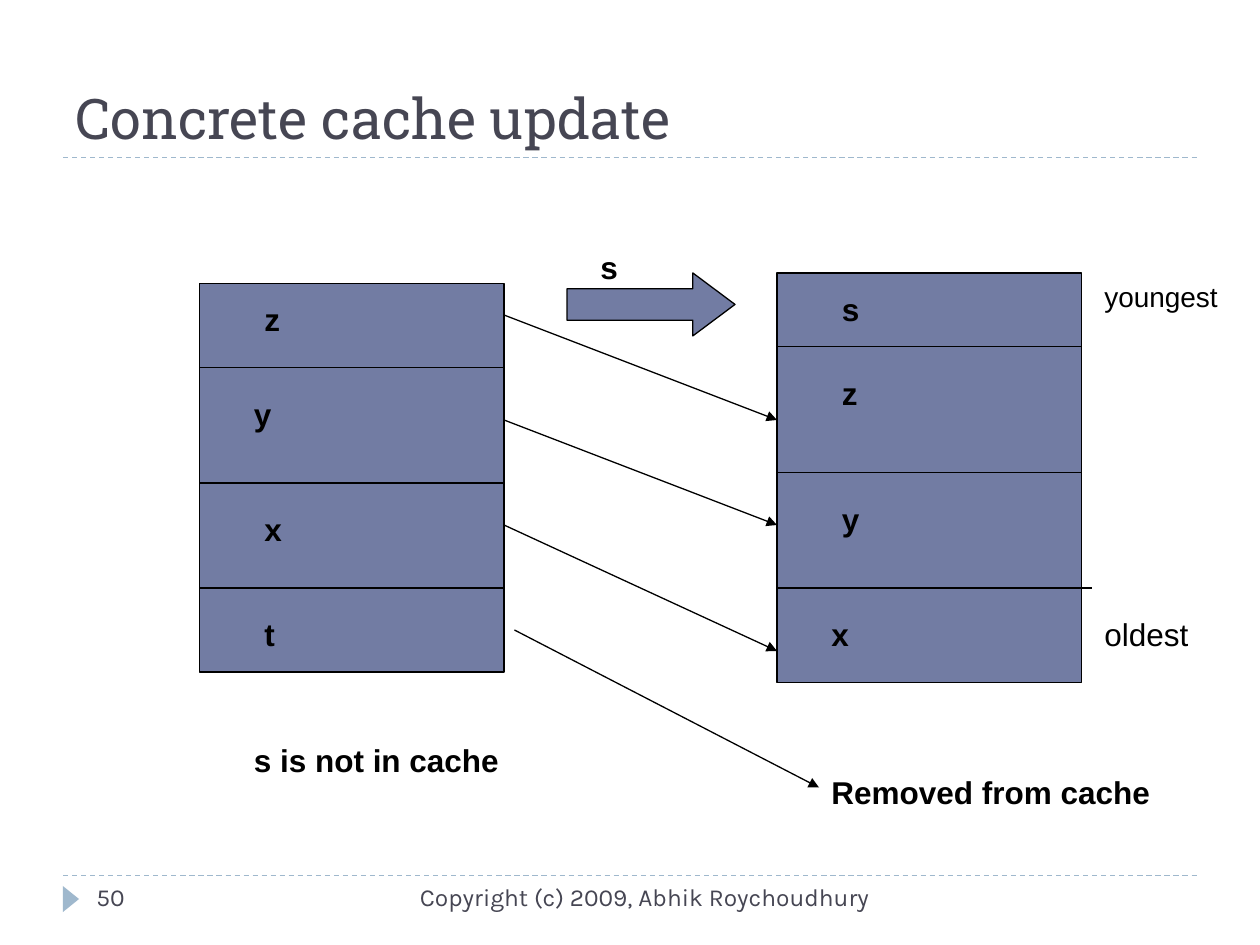
from pptx import Presentation
from pptx.dml.color import RGBColor
from pptx.enum.dml import MSO_LINE
from pptx.enum.shapes import MSO_CONNECTOR, MSO_SHAPE as Shape
from pptx.enum.text import MSO_ANCHOR as Anchor, MSO_AUTO_SIZE as Fit, PP_ALIGN as Align
from pptx.oxml.ns import qn
from pptx.util import Cm, Pt
from lxml.etree import SubElement

INK, BLUE, PALE, GREY = "000000", "727CA3", "9FB8CD", "464653"
TITLE = "Concrete cache update"
STACKS = [
    {"box": (19, 27, 29, 37), "cuts": [(35, 48), (46, 48), (56, 48)],
     "cells": [("z", 24, 28), ("y", 23, 37), ("x", 24, 48), ("t", 24, 58)]},
    {"box": (74, 26, 29, 39), "cuts": [(33, 103), (45, 103), (56, 104)],
     "cells": [("s", 79, 27), ("z", 79, 35), ("y", 79, 47), ("x", 78, 58)]},
]
MOVES = [(48, 30, 74, 40), (48, 40, 74, 50), (48, 50, 74, 62), (49, 60, 78, 75)]
NOTES = [
    ("s", (56, 23, 9, 4.8), 18, True),
    ("s is not in cache", (23, 70, 56, 4.8), 18, True),
    ("youngest", (104, 26, 14, 4.4), 16, False),
    ("oldest", (104, 58, 12, 4.8), 18, False),
    ("Removed from cache", (78, 73, 38, 4.8), 18, True),
]
FOOT = [
    ("Copyright (c) 2009, Abhik Roychoudhury", (38, 83.4, 46, 4.8), Align.RIGHT),
    ("50", (8, 83.4, 26, 4.8), Align.LEFT),
]
RULES = [15, 83.4]


def grid(*vals):
    """Turn twelfths of an inch into lengths."""
    return [Cm(v * 2.54 / 12) for v in vals]


def tint(code):
    """Make a colour from a hex string."""
    return RGBColor.from_string(code)


def write(frame, words, size, face, code, bold=False, align=Align.LEFT):
    """Put one styled run in a text frame."""
    frame.word_wrap = True
    para = frame.paragraphs[0]
    para.alignment = align
    run = para.add_run()
    run.text = words
    font = run.font
    font.size, font.name, font.bold = Pt(size), face, bold
    font.color.rgb = tint(code)


def label(slide, words, box, *style):
    """Add a text box."""
    frame = slide.shapes.add_textbox(*grid(*box)).text_frame
    write(frame, words, *style)


def block(slide, kind, box, fill, line=None):
    """Add a filled shape with an optional outline."""
    shape = slide.shapes.add_shape(kind, *grid(*box))
    shape.shadow.inherit = False
    shape.fill.solid()
    shape.fill.fore_color.rgb = tint(fill)
    if line:
        shape.line.color.rgb = tint(line)
        shape.line.width = Pt(0.75)
    else:
        shape.line.fill.background()
    return shape


def link(slide, ends, code=INK, dash=False, head=False):
    """Add a straight line, dashed or with an arrowhead if asked."""
    wire = slide.shapes.add_connector(MSO_CONNECTOR.STRAIGHT, *grid(*ends))
    wire.line.color.rgb = tint(code)
    wire.line.width = Pt(0.75)
    if dash:
        wire.line.dash_style = MSO_LINE.DASH
    props = wire._element.spPr
    if head:
        SubElement(props.find(qn("a:ln")), qn("a:tailEnd"), type="triangle")
    SubElement(props, qn("a:effectLst"))


def main():
    """Build the slide."""
    deck = Presentation()
    deck.slide_width, deck.slide_height = grid(120, 90)
    slide = deck.slides.add_slide(deck.slide_layouts[5])

    for y in RULES:
        link(slide, (6, y, 114, y), PALE, dash=True)
    mark = block(slide, Shape.ISOSCELES_TRIANGLE, (5.5, 84.85, 2.5, 1.55), PALE)
    mark.rotation = 90

    title = slide.shapes.title
    title.left, title.top, title.width, title.height = grid(6, 2, 108, 13)
    frame = title.text_frame
    frame.auto_size = Fit.NONE
    frame.vertical_anchor = Anchor.BOTTOM
    write(frame, TITLE, 32, "Roboto Slab", GREY)
    for words, box, align in FOOT:
        label(slide, words, box, 14, "Karla", GREY, False, align)

    for stack in STACKS:
        block(slide, Shape.RECTANGLE, stack["box"], BLUE, INK)
        for y, end in stack["cuts"]:
            link(slide, (stack["box"][0], y, end, y))
        for words, x, y in stack["cells"]:
            label(slide, words, (x, y, 20, 4.8), 18, "Arial", INK, True)

    for ends in MOVES:
        link(slide, ends, head=True)
    arrow = block(slide, Shape.RIGHT_ARROW, (54, 26, 16, 6), BLUE, INK)
    arrow.adjustments[0], arrow.adjustments[1] = 0.5, 0.67
    for words, box, size, bold in NOTES:
        label(slide, words, box, size, "Arial", INK, bold)

    deck.save("out.pptx")


if __name__ == "__main__":
    main()
